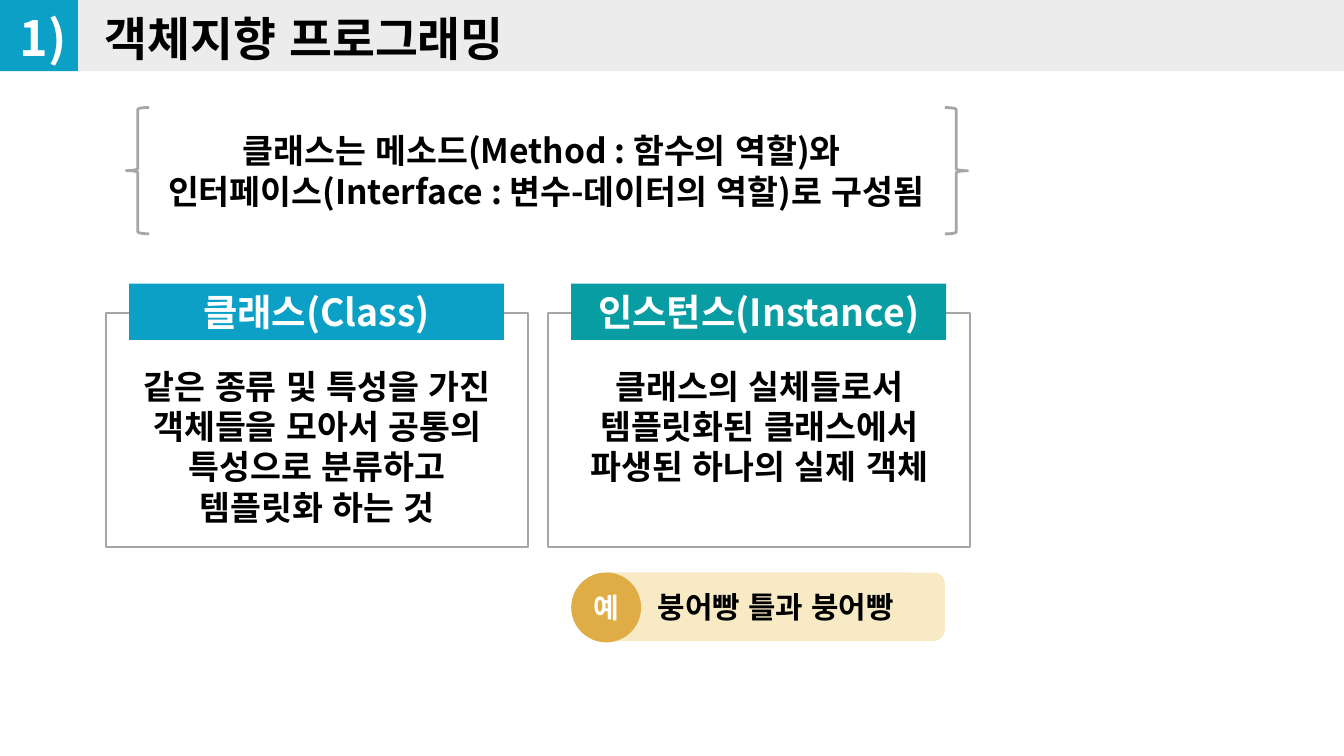
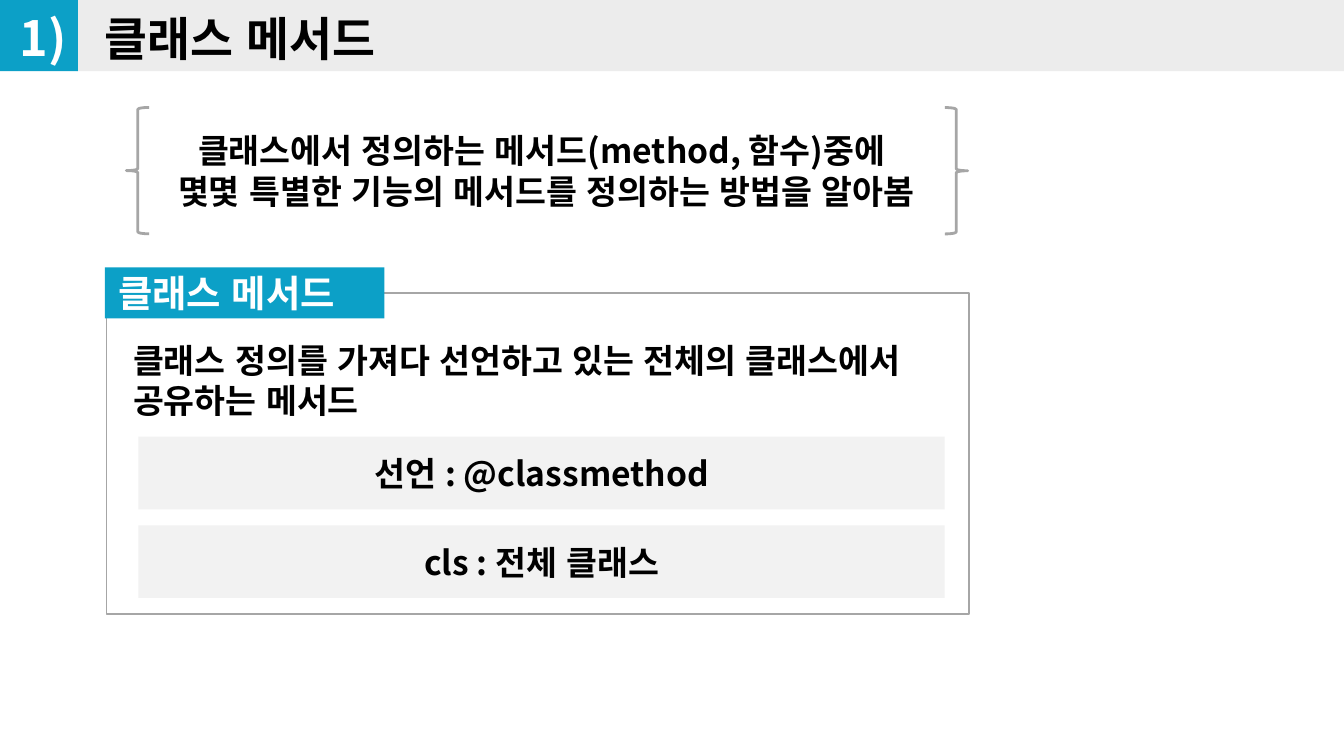
"""Builds two Korean lesson slides on classes, instances and class methods."""
import pptx
import pptx.dml.color
import pptx.enum.lang
import pptx.enum.shapes
import pptx.enum.text
import pptx.oxml.ns
import pptx.util
from lxml import etree

Inches = pptx.util.Inches
MSO = pptx.enum.shapes.MSO_SHAPE
ALIGN = pptx.enum.text.PP_ALIGN
ANCHOR = pptx.enum.text.MSO_ANCHOR
AUTO = pptx.enum.text.MSO_AUTO_SIZE

THEME = {
    "font": "Noto Sans CJK KR",
    "black": "000000", "white": "FFFFFF", "band": "ECECEC", "blue": "0CA0C7",
    "teal": "089CA3", "gray": "A6A6A6", "panel": "F2F2F2",
    "cream": "F7EAC5", "gold": "DFAC45",
    "title": 25, "number": 26, "head": 20, "body": 18, "example": 16, "badge": 15,
}
HEADER_INS = (0.14, 0.07, 0.14, 0.07)


def write(sp, text, size, color="black", align=ALIGN.CENTER, anchor=ANCHOR.TOP,
          ins=(0.1, 0.05, 0.1, 0.05), wrap=True, auto=AUTO.NONE):
    """Puts bold theme text into a shape."""
    tf = sp.text_frame
    tf.text = text
    tf.word_wrap = wrap
    tf.auto_size = auto
    tf.vertical_anchor = anchor
    tf.margin_left, tf.margin_top, tf.margin_right, tf.margin_bottom = map(Inches, ins)
    for p in tf.paragraphs:
        p.alignment = align
        for r in p.runs:
            r.font.size = pptx.util.Pt(THEME[size])
            r.font.bold = True
            r.font.name = THEME["font"]
            r.font.language_id = pptx.enum.lang.MSO_LANGUAGE_ID.KOREAN
            r.font.color.rgb = pptx.dml.color.RGBColor.from_string(THEME[color])
            rPr = r.font._element
            rPr.set("kern", "0")
            ea = etree.SubElement(rPr, pptx.oxml.ns.qn("a:ea"))
            ea.set("typeface", THEME["font"])


def shape(s, kind, at, fill=None, line=None, width=1):
    """Adds a flat preset shape."""
    sp = s.shapes.add_shape(kind, *map(Inches, at))
    sp.shadow.inherit = False
    if fill:
        sp.fill.solid()
        sp.fill.fore_color.rgb = pptx.dml.color.RGBColor.from_string(THEME[fill])
    else:
        sp.fill.background()
    if line:
        sp.line.color.rgb = pptx.dml.color.RGBColor.from_string(THEME[line])
        sp.line.width = pptx.util.Pt(width)
    else:
        sp.line.fill.background()
    return sp


prs = pptx.Presentation()
prs.slide_width = Inches(10)
prs.slide_height = prs.slide_width * 9 // 16
layout = prs.slide_layouts[5]

pages = [
    ("객체지향 프로그래밍",
     "클래스는 메소드(Method : 함수의 역할)와 \v인터페이스(Interface : 변수-데이터의 역할)로 구성됨"),
    ("클래스 메서드",
     "클래스에서 정의하는 메서드(method, 함수)중에 \v몇몇 특별한 기능의 메서드를 정의하는 방법을 알아봄"),
]
slides = []
for title, summary in pages:
    s = prs.slides.add_slide(layout)
    slides.append(s)
    sp = s.shapes.title
    sp.left, sp.top, sp.width, sp.height = map(Inches, (0.64, 0, 8.92, 0.56))
    write(sp, title, "title", align=ALIGN.LEFT, ins=HEADER_INS)
    sp = s.shapes.add_textbox(*map(Inches, (-0.01, -0.01, 0.66, 0.58)))
    write(sp, "1)", "number", "white", ins=HEADER_INS)
    for x, turn in ((0.94, 0), (7.03, 180)):
        sp = shape(s, MSO.LEFT_BRACE, (x, 0.8, 0.17, 0.94), line="gray", width=1.5)
        sp.rotation = turn
    sp = s.shapes.add_textbox(*map(Inches, (1.03, 0.92, 6.07, 0.71)))
    write(sp, summary, "body", auto=AUTO.SHAPE_TO_FIT_TEXT)

bands = [(0.57, 9.43, "band"), (-0.01, 0.59, "blue")]
for i, (x, w, fill) in enumerate(bands):
    sp = shape(slides[0], MSO.RECTANGLE, (x, -0.01, w, 0.54), fill)
    sp.element.nvSpPr.cNvPr.set("id", str(20 + i))
    layout.shapes.element.insert(2 + i, sp.element)

s = slides[0]
cards = [
    ("클래스(Class)", "blue",
     "같은 종류 및 특성을 가진 객체들을 모아서 공통의 특성으로 분류하고\v템플릿화 하는 것"),
    ("인스턴스(Instance)", "teal",
     "클래스의 실체들로서 템플릿화된 클래스에서 파생된 하나의 실제 객체"),
]
for i, (head, fill, body) in enumerate(cards):
    x = 0.79 + 3.29 * i
    sp = shape(s, MSO.RECTANGLE, (x, 2.33, 3.14, 1.74), "white", "gray")
    write(sp, body, "body", ins=(0.16, 0.39, 0.16, 0.1))
    sp = shape(s, MSO.RECTANGLE, (x + 0.17, 2.11, 2.79, 0.42), fill)
    write(sp, head, "head", "white", anchor=ANCHOR.MIDDLE, wrap=False)

sp = shape(s, MSO.ROUNDED_RECTANGLE, (4.44, 4.26, 2.59, 0.51), "cream")
write(sp, "붕어빵 틀과 붕어빵", "example", align=ALIGN.LEFT, anchor=ANCHOR.MIDDLE,
      ins=(0.43, 0.05, 0.1, 0.05))
sp = shape(s, MSO.OVAL, (4.25, 4.26, 0.52, 0.52), "gold")
write(sp, "예", "badge", "white", anchor=ANCHOR.MIDDLE, ins=(0, 0.05, 0, 0.05), wrap=False)

s = slides[1]
sp = shape(s, MSO.RECTANGLE, (0.79, 2.18, 6.42, 2.39), "white", "gray", 0.75)
write(sp, "클래스 정의를 가져다 선언하고 있는 전체의 클래스에서 공유하는 메서드", "body",
      align=ALIGN.LEFT, ins=(0.2, 0.35, 0.1, 0.05))
sp = shape(s, MSO.RECTANGLE, (0.78, 1.99, 2.08, 0.38), "blue")
write(sp, "클래스 메서드", "head", "white", align=ALIGN.LEFT, anchor=ANCHOR.MIDDLE)
for i, text in enumerate(("선언 : @classmethod", "cls : 전체 클래스")):
    sp = shape(s, MSO.RECTANGLE, (1.03, 3.25 + 0.66 * i, 6, 0.54), "panel")
    write(sp, text, "body", anchor=ANCHOR.MIDDLE)

prs.save("out.pptx")
